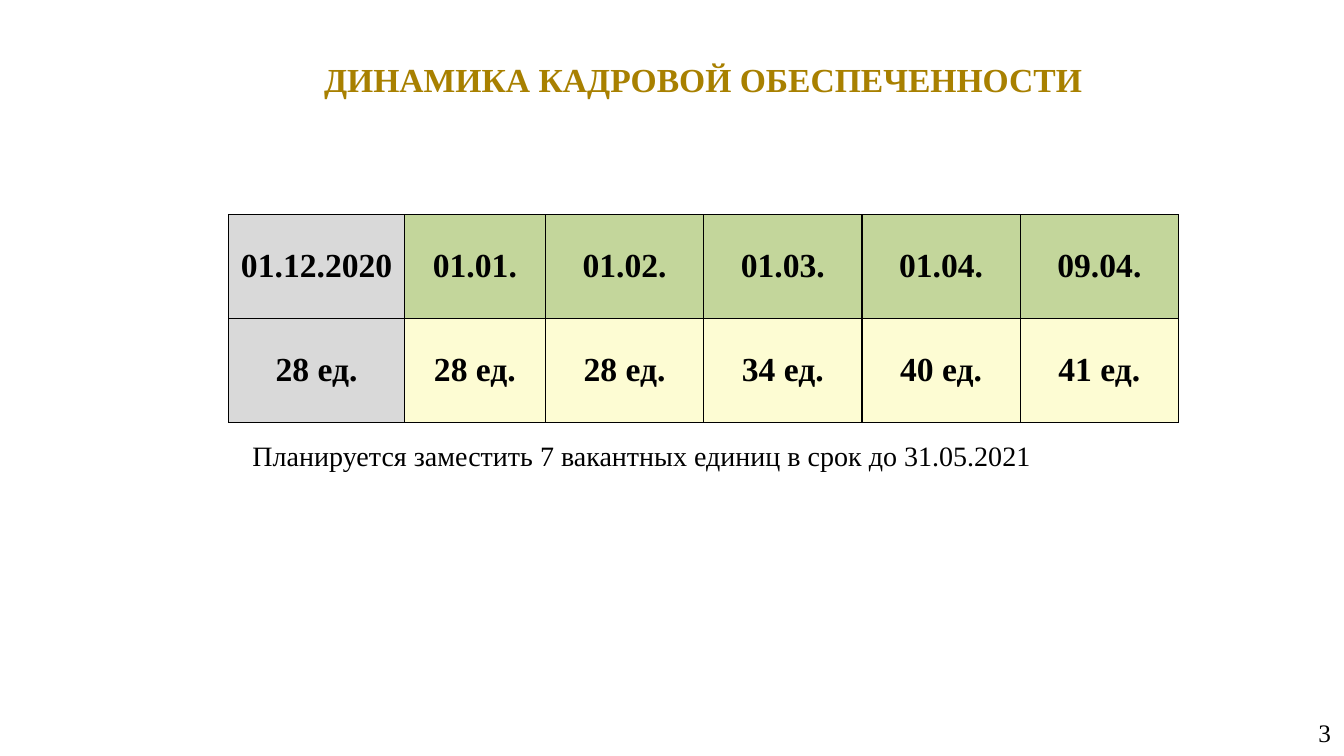
from lxml.etree import SubElement
from pptx import Presentation
from pptx.dml.color import RGBColor
from pptx.enum.text import MSO_ANCHOR, PP_ALIGN
from pptx.oxml.ns import qn
from pptx.util import Inches, Pt

FONT = "Times New Roman"
COLORS = {
    "title": "A88000",
    "text": "000000",
    "border": "000000",
    "baseline": "D9D9D9",
    "date": "C3D69B",
    "count": "FDFCD3",
}
STAFFING = [
    ("01.12.2020", 28),
    ("01.01.", 28),
    ("01.02.", 28),
    ("01.03.", 34),
    ("01.04.", 40),
    ("09.04.", 41),
]
COLUMN_WIDTHS = [1.74, 1.4] + [1.57] * 4
ROW_HEIGHT = 1.03


def write_text(tf, text, size, color="text", bold=False, align=PP_ALIGN.CENTER):
    """Fill a text frame with one formatted paragraph."""
    p = tf.paragraphs[0]
    p.text = text
    p.alignment = align
    p.font.name = FONT
    p.font.size = Pt(size)
    p.font.bold = bold
    p.font.color.rgb = RGBColor.from_string(COLORS[color])


def add_text(slide, box, text, size, anchor=MSO_ANCHOR.MIDDLE, **style):
    """Add a wrapped text box."""
    tf = slide.shapes.add_textbox(*map(Inches, box)).text_frame
    tf.word_wrap = True
    tf.vertical_anchor = anchor
    tf.margin_left = tf.margin_right = Inches(0.13)
    tf.margin_top = tf.margin_bottom = Inches(0.07)
    write_text(tf, text, size, **style)


def add_borders(cell):
    """Draw a thin line on each side of a table cell."""
    tc_pr = cell._tc.get_or_add_tcPr()
    for side in ("lnL", "lnR", "lnT", "lnB"):
        ln = SubElement(tc_pr, qn(f"a:{side}"), w=str(Pt(1)))
        fill = SubElement(ln, qn("a:solidFill"))
        SubElement(fill, qn("a:srgbClr"), val=COLORS["border"])


def format_cell(cell, text, fill):
    """Set the text, borders and fill of a table cell."""
    write_text(cell.text_frame, text, 24, bold=True)
    cell.vertical_anchor = MSO_ANCHOR.MIDDLE
    add_borders(cell)
    cell.fill.solid()
    cell.fill.fore_color.rgb = RGBColor.from_string(COLORS[fill])


def add_staffing_table(slide, left, top):
    """Add the table of filled positions by date."""
    table = slide.shapes.add_table(
        2, len(STAFFING), Inches(left), Inches(top),
        Inches(sum(COLUMN_WIDTHS)), Inches(2 * ROW_HEIGHT),
    ).table
    for row in table.rows:
        row.height = Inches(ROW_HEIGHT)
    for col, (date, count) in enumerate(STAFFING):
        table.columns[col].width = Inches(COLUMN_WIDTHS[col])
        format_cell(table.cell(0, col), date, "date" if col else "baseline")
        format_cell(table.cell(1, col), f"{count} ед.", "count" if col else "baseline")


def main():
    """Build and save the slide."""
    prs = Presentation()
    prs.slide_width, prs.slide_height = Inches(13.33), Inches(7.5)
    slide = prs.slides.add_slide(prs.slide_layouts[6])
    add_text(slide, (1.65, 0.51, 10.65, 0.54), "ДИНАМИКА КАДРОВОЙ ОБЕСПЕЧЕННОСТИ", 24,
             anchor=MSO_ANCHOR.TOP, color="title", bold=True)
    add_staffing_table(slide, 2.27, 2.13)
    add_text(slide, (0.63, 4.14, 11.47, 0.76),
             "Планируется заместить 7 вакантных единиц в срок до 31.05.2021", 20)
    add_text(slide, (10.22, 7.07, 3.11, 0.4), "3", 18, align=PP_ALIGN.RIGHT)
    prs.save("out.pptx")


if __name__ == "__main__":
    main()
